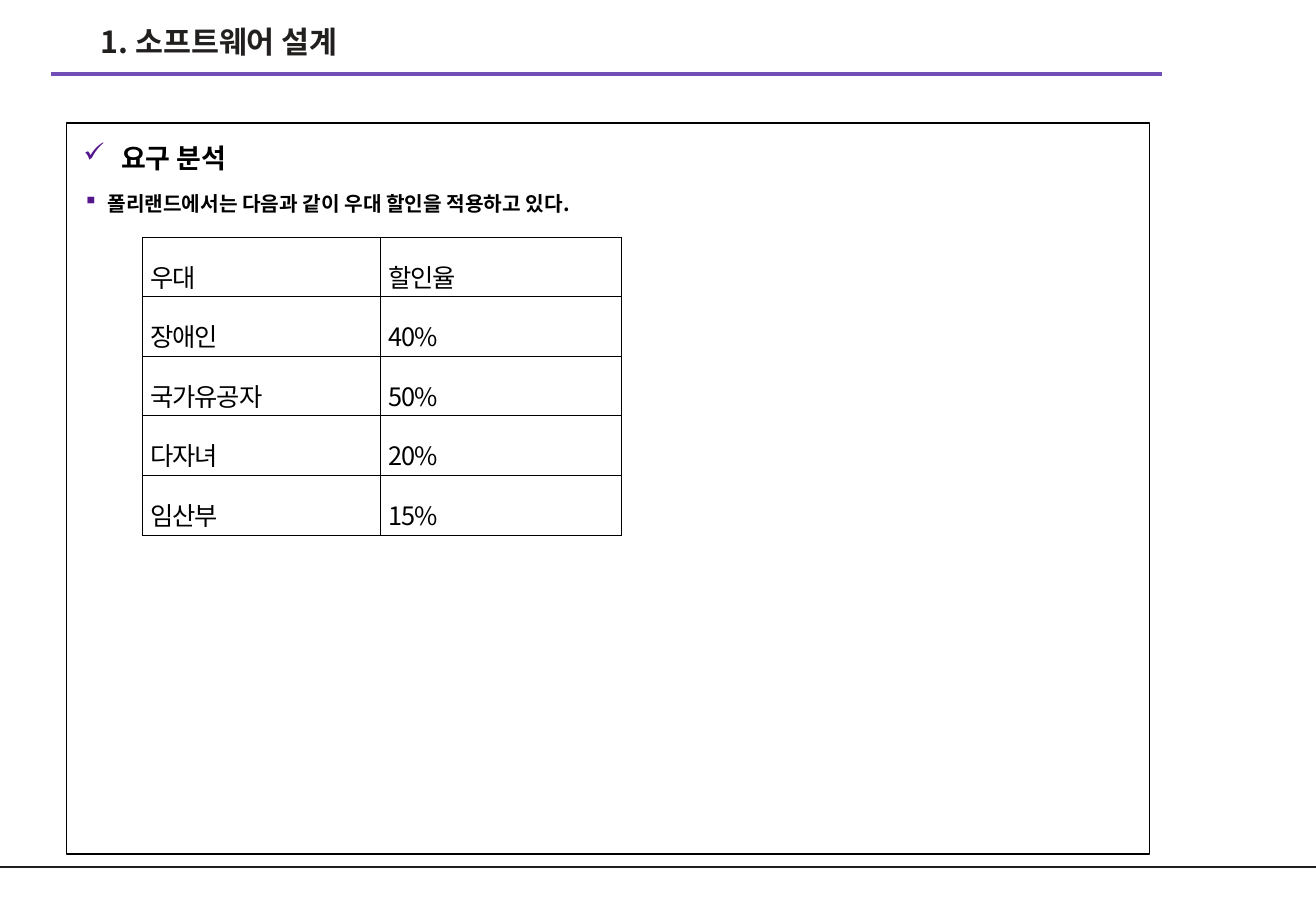
import pptx
import pptx.dml.color
import pptx.enum.shapes
import pptx.enum.text
import pptx.oxml
import pptx.oxml.ns
import pptx.util
import lxml.etree

Pt = pptx.util.Pt
qn = pptx.oxml.ns.qn
NS = pptx.oxml.ns.nsdecls("a")


def hue(code):
    return pptx.dml.color.RGBColor.from_string(code)


def node(xml):
    """Parse one DrawingML element given without its namespace."""
    tag, rest = xml[1:].split(" ", 1)
    return pptx.oxml.parse_xml(f"<a:{tag} {NS} {rest}")


def write(para, text, size=12, color="000000", bold=False, font="", track=0):
    run = para.add_run()
    run.text = text
    run.font.size = Pt(size)
    run.font.bold = bold
    run.font.color.rgb = hue(color)
    run.font.name = font
    props = run.font._element
    props.append(node(f'<ea typeface="{font}"/>'))
    if track:
        props.set("spc", str(round(track * 100)))


class Page:
    font = "Noto Sans CJK KR"
    ink = "221F1F"
    black = "000000"
    mark = "54158D"

    def __init__(self, deck):
        self.slide = deck.slides.add_slide(deck.slide_layouts[6])
        self.shapes = self.slide.shapes

    def rule(self, left, right, y, color, width):
        kind = pptx.enum.shapes.MSO_CONNECTOR.STRAIGHT
        line = self.shapes.add_connector(kind, Pt(left), Pt(y), Pt(right), Pt(y))
        line.line.color.rgb = hue(color)
        line.line.width = Pt(width)
        lxml.etree.SubElement(line._element.spPr, qn("a:effectLst"))

    def title(self, text, left, top, width, height):
        box = self.shapes.add_textbox(Pt(left), Pt(top), Pt(width), Pt(height))
        box.text_frame.word_wrap = True
        write(box.text_frame.paragraphs[0], text, size=18, color=self.ink,
              bold=True, font=self.font)

    def panel(self, items, left, top, width, height):
        kind = pptx.enum.shapes.MSO_SHAPE.RECTANGLE
        box = self.shapes.add_shape(kind, Pt(left), Pt(top), Pt(width), Pt(height))
        box.shadow.inherit = False
        box.fill.background()
        box.line.color.rgb = hue(self.black)
        box.line.width = Pt(0.75)
        frame = box.text_frame
        frame.word_wrap = True
        frame.vertical_anchor = pptx.enum.text.MSO_ANCHOR.TOP
        frame.margin_left = frame.margin_right = Pt(10)
        frame.margin_top = frame.margin_bottom = Pt(5)
        for i, (sign, text, size, indent) in enumerate(items):
            para = frame.add_paragraph() if i else frame.paragraphs[0]
            self.bullet(para, sign, indent)
            write(para, text, size=size, bold=True, font=self.font)

    def bullet(self, para, sign, indent):
        para.alignment = pptx.enum.text.PP_ALIGN.LEFT
        para.line_spacing = 1.3
        props = para._p.get_or_add_pPr()
        props.set("marL", str(Pt(indent)))
        props.set("indent", str(-Pt(indent)))
        for xml in (
            '<spcBef ><a:spcPct val="50000"/></a:spcBef>',
            f'<buClr ><a:srgbClr val="{self.mark}"/></a:buClr>',
            f'<buChar char="{sign}"/>',
        ):
            props.append(node(xml))

    def table(self, rows, left, top, widths, height):
        frame = self.shapes.add_table(
            len(rows), len(widths), Pt(left), Pt(top),
            Pt(sum(widths)), Pt(height * len(rows)))
        grid = frame.table
        grid.first_row = grid.horz_banding = False
        for col, width in zip(grid.columns, widths):
            col.width = Pt(width)
        for r, row in enumerate(rows):
            grid.rows[r].height = Pt(height)
            for c, text in enumerate(row):
                self.cell(grid.cell(r, c), text)

    def cell(self, cell, text):
        cell.margin_left = cell.margin_right = Pt(5)
        cell.margin_top = cell.margin_bottom = Pt(1.4)
        cell.vertical_anchor = pptx.enum.text.MSO_ANCHOR.MIDDLE
        para = cell.text_frame.paragraphs[0]
        para.alignment = pptx.enum.text.PP_ALIGN.JUSTIFY
        para.line_spacing = 1.5
        para.space_after = Pt(2.8)
        write(para, text, size=15, font=self.font, track=-0.7)
        # Borders come before the fill in the cell properties
        props = cell._tc.get_or_add_tcPr()
        for side in "LRTB":
            props.append(node(
                f'<ln{side} w="{Pt(0.28)}"><a:solidFill>'
                f'<a:srgbClr val="{self.black}"/></a:solidFill></a:ln{side}>'))
        cell.fill.background()


deck = pptx.Presentation()
deck.slide_width, deck.slide_height = Pt(780), Pt(540)
page = Page(deck)

# Footer and header rules
page.rule(0, 780, 514, page.ink, 1)
page.rule(30.5, 689, 43.8, "724FB7", 2.25)

# Title
page.title("1. 소프트웨어 설계", 52.5, 10, 400, 34.5)

# Framed analysis text
page.panel([
    ("✓", "요구 분석", 16, 22.3),
    ("▪", "폴리랜드에서는 다음과 같이 우대 할인을 적용하고 있다.", 12, 14.2),
], 39.5, 73, 642, 433.3)

# Discount table
page.table([
    ("우대", "할인율"),
    ("장애인", "40%"),
    ("국가유공자", "50%"),
    ("다자녀", "20%"),
    ("임산부", "15%"),
], 84.4, 140.5, (141, 143), 35.3)

deck.save("out.pptx")
